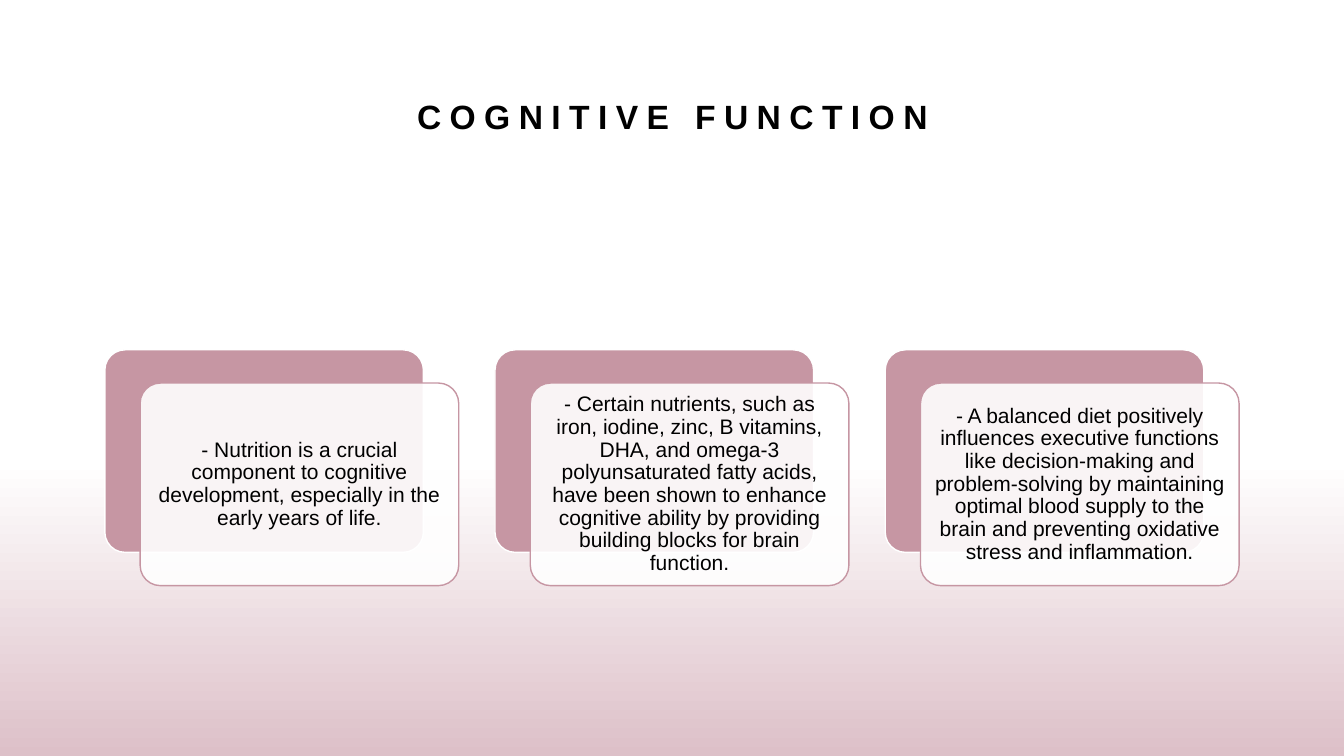
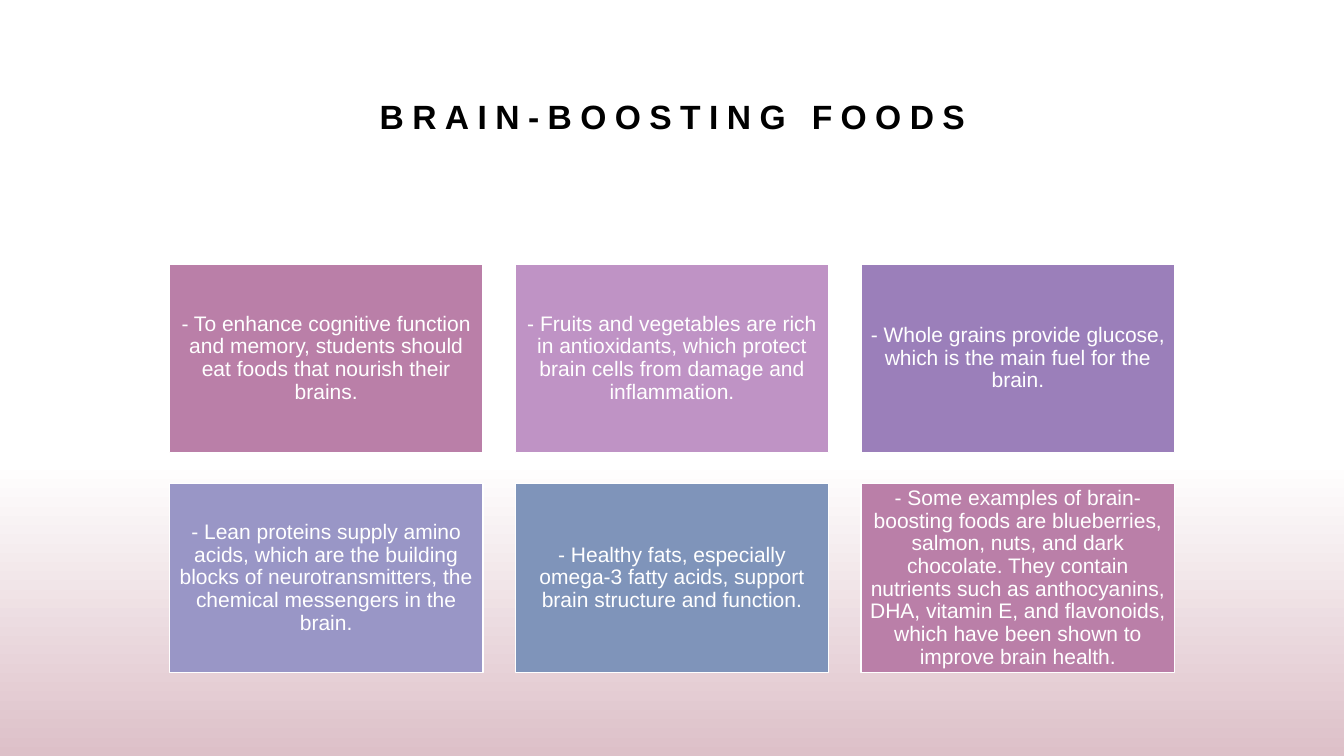
import pptx
import pptx.util
import pptx.dml.color
import pptx.enum.shapes
import pptx.enum.text
import pptx.oxml
import pptx.oxml.ns
import lxml.etree

Inches = pptx.util.Inches
Pt = pptx.util.Pt
RGBColor = pptx.dml.color.RGBColor
Preset = pptx.enum.shapes.MSO_SHAPE

FONT = "Arial"
BLACK = RGBColor(0x00, 0x00, 0x00)
WHITE = RGBColor(0xFF, 0xFF, 0xFF)
BLUSH = RGBColor(0xDD, 0xC0, 0xC8)
ROSE = RGBColor(0xC6, 0x96, 0xA3)
MAUVE = RGBColor(0xBA, 0x7F, 0xA8)
ORCHID = RGBColor(0xBF, 0x93, 0xC5)
VIOLET = RGBColor(0x9B, 0x7F, 0xBA)
LAVENDER = RGBColor(0x99, 0x96, 0xC6)
STEEL = RGBColor(0x7F, 0x94, 0xBA)

COLUMNS = 3

COGNITION_POINTS = [
    "- Nutrition is a crucial component to cognitive development, especially in the "
    "early years of life.",
    "- Certain nutrients, such as iron, iodine, zinc, B vitamins, DHA, and omega-3 "
    "polyunsaturated fatty acids, have been shown to enhance cognitive ability by "
    "providing building blocks for brain function.",
    "- A balanced diet positively influences executive functions like decision-making "
    "and problem-solving by maintaining optimal blood supply to the brain and "
    "preventing oxidative stress and inflammation.",
]

FOOD_POINTS = [
    ("- To enhance cognitive function and memory, students should eat foods that "
     "nourish their brains.", MAUVE),
    ("- Fruits and vegetables are rich in antioxidants, which protect brain cells "
     "from damage and inflammation.", ORCHID),
    ("- Whole grains provide glucose, which is the main fuel for the brain.", VIOLET),
    ("- Lean proteins supply amino acids, which are the building blocks of "
     "neurotransmitters, the chemical messengers in the brain.", LAVENDER),
    ("- Healthy fats, especially omega-3 fatty acids, support brain structure and "
     "function.", STEEL),
    ("- Some examples of brain-boosting foods are blueberries, salmon, nuts, and dark "
     "chocolate. They contain nutrients such as anthocyanins, DHA, vitamin E, and "
     "flavonoids, which have been shown to improve brain health.", MAUVE),
]


def write_centred(shape, text, size, color, line_spacing=1.0, bold=False):
    frame = shape.text_frame
    frame.word_wrap = True
    frame.vertical_anchor = pptx.enum.text.MSO_ANCHOR.MIDDLE
    frame.margin_left = frame.margin_right = Inches(0.06)
    frame.margin_top = frame.margin_bottom = Inches(0.06)
    paragraph = frame.paragraphs[0]
    paragraph.text = text
    paragraph.alignment = pptx.enum.text.PP_ALIGN.CENTER
    paragraph.line_spacing = line_spacing
    run = paragraph.runs[0]
    run.font.name = FONT
    run.font.size = Pt(size)
    run.font.bold = bold
    run.font.color.rgb = color
    return run


def add_panel(slide, preset, left, top, width, height, fill, line):
    panel = slide.shapes.add_shape(
        preset, Inches(left), Inches(top), Inches(width), Inches(height))
    panel.shadow.inherit = False
    panel.fill.solid()
    panel.fill.fore_color.rgb = fill
    panel.line.color.rgb = line
    panel.line.width = Pt(1)
    return panel


def add_rounded_panel(slide, left, top, fill, line):
    panel = add_panel(slide, Preset.ROUNDED_RECTANGLE, left, top, 3.16, 2.01, fill, line)
    panel.adjustments[0] = 0.1
    return panel


def set_opacity(shape, percent):
    color = shape.fill._xPr.find(".//" + pptx.oxml.ns.qn("a:srgbClr"))
    alpha = lxml.etree.SubElement(color, pptx.oxml.ns.qn("a:alpha"))
    alpha.set("val", str(percent * 1000))


def add_card(slide, left, top, text):
    add_rounded_panel(slide, left, top, ROSE, WHITE)
    front = add_rounded_panel(slide, left + 0.35, top + 0.33, WHITE, ROSE)
    set_opacity(front, 90)
    write_centred(front, text, 15, BLACK, line_spacing=0.9)


def add_tile(slide, left, top, text, fill):
    tile = add_panel(slide, Preset.RECTANGLE, left, top, 3.11, 1.87, fill, WHITE)
    write_centred(tile, text, 15, WHITE, line_spacing=0.9)


def add_glow(slide):
    glow = slide.shapes.add_shape(
        Preset.RECTANGLE, 0, Inches(4.09), Inches(13.33), Inches(3.41))
    glow.shadow.inherit = False
    glow.line.fill.background()
    glow.fill.gradient()
    glow.fill.gradient_angle = 270
    for stop, position, color in zip(glow.fill.gradient_stops, (0.14, 1), (WHITE, BLUSH)):
        stop.position = position
        stop.color.rgb = color


def add_titled_slide(deck, title):
    slide = deck.slides.add_slide(deck.slide_layouts[6])
    slide.background.fill.solid()
    slide.background.fill.fore_color.rgb = WHITE
    add_glow(slide)
    heading = slide.shapes.add_textbox(Inches(1.67), Inches(0.9), Inches(10), Inches(0.5))
    run = write_centred(heading, title, 24, BLACK, bold=True)
    run.font._element.set("spc", "600")
    return slide


def add_cognition_slide(deck):
    slide = add_titled_slide(deck, "COGNITIVE FUNCTION")
    for column, text in enumerate(COGNITION_POINTS):
        add_card(slide, 1.04 + column * 3.87, 3.47, text)


def add_foods_slide(deck):
    slide = add_titled_slide(deck, "BRAIN-BOOSTING FOODS")
    for index, (text, fill) in enumerate(FOOD_POINTS):
        row, column = divmod(index, COLUMNS)
        add_tile(slide, 1.68 + column * 3.43, 2.62 + row * 2.18, text, fill)


def main():
    deck = pptx.Presentation()
    deck.slide_width = Inches(13.33)
    deck.slide_height = Inches(7.5)
    add_cognition_slide(deck)
    add_foods_slide(deck)
    deck.save("out.pptx")


if __name__ == "__main__":
    main()
